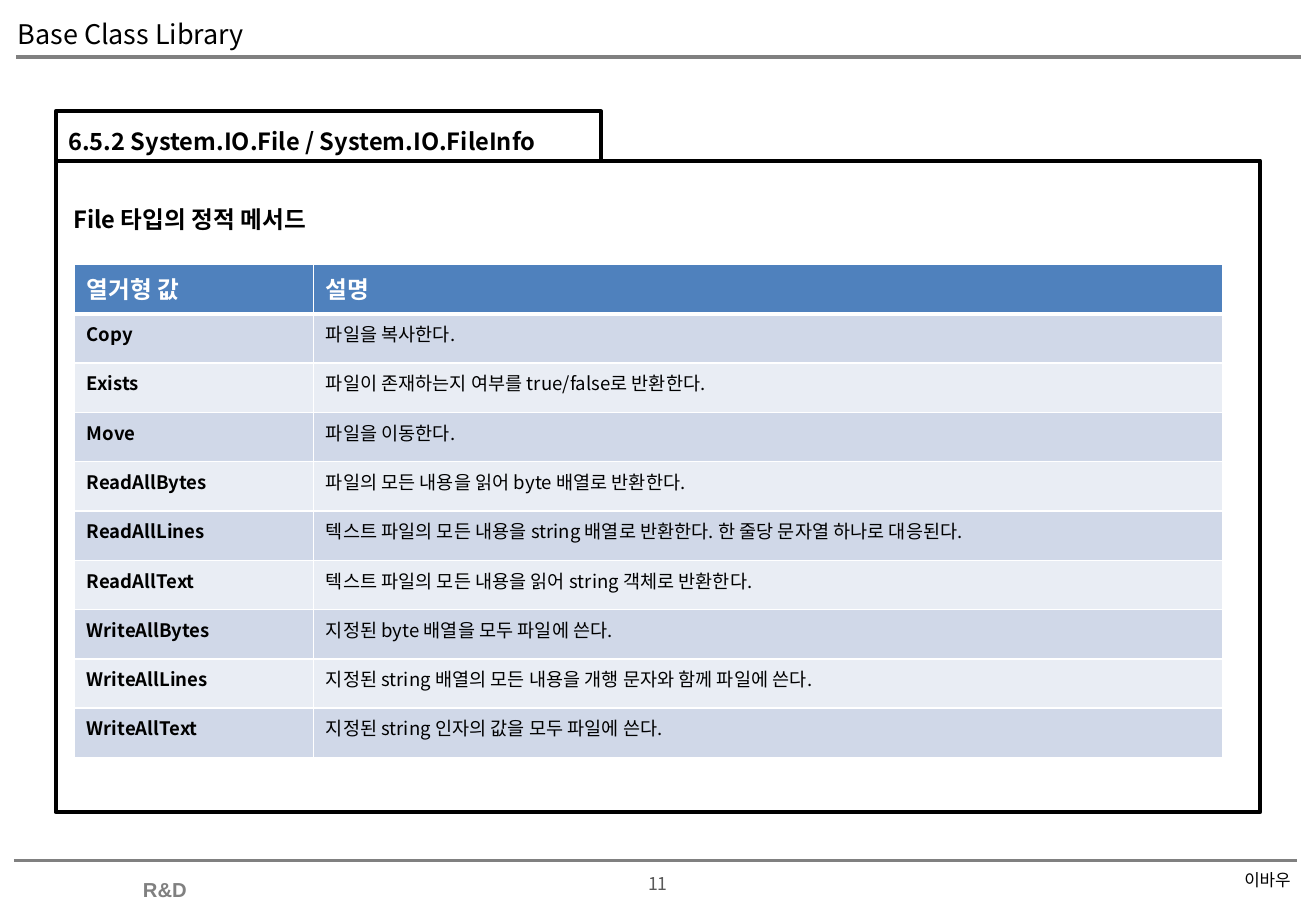
from pptx import Presentation
from pptx.dml.color import RGBColor
from pptx.enum.shapes import MSO_CONNECTOR, MSO_SHAPE
from pptx.enum.text import MSO_ANCHOR, MSO_AUTO_SIZE, PP_ALIGN
from pptx.oxml.ns import qn
from pptx.util import Pt
from lxml.etree import SubElement

PX = 9525  # 96 px to the inch


def px(*nums):
    return [num * PX for num in nums]


def color(code):
    return RGBColor.from_string(code)


class Page:
    font = "Noto Sans CJK KR"
    black, white, gray = "000000", "FFFFFF", "808080"
    head, bands = "4F81BD", ("D0D8E8", "E9EDF4")

    def __init__(self, deck):
        self.slide = deck.slides.add_slide(deck.slide_layouts[5])
        self.shapes = self.slide.shapes

    def style(self, frame, text, size, tint=black, bold=False,
              align=PP_ALIGN.LEFT, font=font):
        frame.text = text
        para = frame.paragraphs[0]
        para.alignment = align
        for run in para.runs:
            run.font.name = font
            run.font.size = Pt(size)
            run.font.bold = bold
            run.font.color.rgb = color(tint)
            props = run._r.get_or_add_rPr()
            SubElement(props, qn("a:ea")).set("typeface", font)

    def fit(self, frame, pads, anchor=MSO_ANCHOR.TOP, wrap=True):
        frame.auto_size = MSO_AUTO_SIZE.NONE
        frame.word_wrap = wrap
        frame.vertical_anchor = anchor
        (frame.margin_left, frame.margin_top,
         frame.margin_right, frame.margin_bottom) = px(*pads)

    def title(self, box, text, size):
        shape = self.shapes.title
        shape.left, shape.top, shape.width, shape.height = px(*box)
        self.fit(shape.text_frame, (0, 5, 10, 5), MSO_ANCHOR.MIDDLE)
        self.style(shape.text_frame, text, size)

    def label(self, box, text, size, pads=(0, 0, 0, 0),
              anchor=MSO_ANCHOR.TOP, wrap=True, **look):
        frame = self.shapes.add_textbox(*px(*box)).text_frame
        self.fit(frame, pads, anchor, wrap)
        self.style(frame, text, size, **look)

    def rule(self, left, right, y):
        line = self.shapes.add_connector(
            MSO_CONNECTOR.STRAIGHT, *px(left, y, right, y))
        line.line.color.rgb = color(self.gray)
        line.line.width = Pt(2)
        SubElement(line._element.spPr, qn("a:effectLst"))

    def frame(self, box, text, pads):
        shape = self.shapes.add_shape(MSO_SHAPE.RECTANGLE, *px(*box))
        shape.shadow.inherit = False
        shape.fill.background()
        shape.line.color.rgb = color(self.black)
        shape.line.width = Pt(2.25)
        self.fit(shape.text_frame, pads)
        self.style(shape.text_frame, text, 14, bold=True)

    def edges(self, cell, top, bottom):
        props = cell._tc.get_or_add_tcPr()
        for side, width in (("L", 1), ("R", 1), ("T", top), ("B", bottom)):
            edge = SubElement(props, qn("a:ln" + side), w=str(Pt(width)))
            fill = SubElement(edge, qn("a:solidFill"))
            SubElement(fill, qn("a:srgbClr"), val=self.white)

    def table(self, left, top, cols, step, rows):
        box = px(left, top, sum(cols), step * len(rows))
        grid = self.shapes.add_table(len(rows), len(cols), *box).table
        for col, width in zip(grid.columns, cols):
            col.width = width * PX
        for i, row in enumerate(rows):
            grid.rows[i].height = step * PX
            for j, text in enumerate(row):
                cell = grid.cell(i, j)
                self.edges(cell, 3 if i == 1 else 1, 3 if i == 0 else 1)
                cell.fill.solid()
                fill = self.bands[(i - 1) % 2] if i else self.head
                cell.fill.fore_color.rgb = color(fill)
                self.style(cell.text_frame, text, 11 if i else 14,
                           self.black if i else self.white,
                           bold=i == 0 or j == 0)


ROWS = [
    ("열거형 값", "설명"),
    ("Copy", "파일을 복사한다."),
    ("Exists", "파일이 존재하는지 여부를 true/false로 반환한다."),
    ("Move", "파일을 이동한다."),
    ("ReadAllBytes", "파일의 모든 내용을 읽어 byte 배열로 반환한다."),
    ("ReadAllLines", "텍스트 파일의 모든 내용을 string 배열로 반환한다. "
                     "한 줄당 문자열 하나로 대응된다."),
    ("ReadAllText", "텍스트 파일의 모든 내용을 읽어 string 객체로 반환한다."),
    ("WriteAllBytes", "지정된 byte 배열을 모두 파일에 쓴다."),
    ("WriteAllLines", "지정된 string 배열의 모든 내용을 개행 문자와 함께 파일에 쓴다."),
    ("WriteAllText", "지정된 string 인자의 값을 모두 파일에 쓴다."),
]


def main():
    deck = Presentation()
    deck.slide_width, deck.slide_height = px(1040, 720)
    page = Page(deck)

    # Header and footer
    page.title((14, 15, 529, 23), "Base Class Library", 16)
    page.rule(13, 1028, 45)
    page.rule(11, 1025, 680)
    page.label((103, 688, 56, 29), "R&D", 12, (10, 5, 10, 5), wrap=False,
               tint=page.gray, bold=True, font="Arial")
    page.label((470, 690, 100, 18), "11", 10.5, tint="595959",
               align=PP_ALIGN.CENTER)
    page.label((794, 684, 226, 23), "이바우", 10, (10, 5, 0, 5),
               MSO_ANCHOR.MIDDLE, align=PP_ALIGN.RIGHT)

    # Framed section with its tab
    page.frame((44, 127, 952, 515), "File 타입의 정적 메서드", (14, 35, 10, 5))
    page.frame((44, 88, 431, 39),
               "6.5.2 System.IO.File / System.IO.FileInfo", (10, 12, 10, 0))

    # Method table
    page.table(59, 209, (189, 718), 39, ROWS)

    deck.save("out.pptx")


if __name__ == "__main__":
    main()
